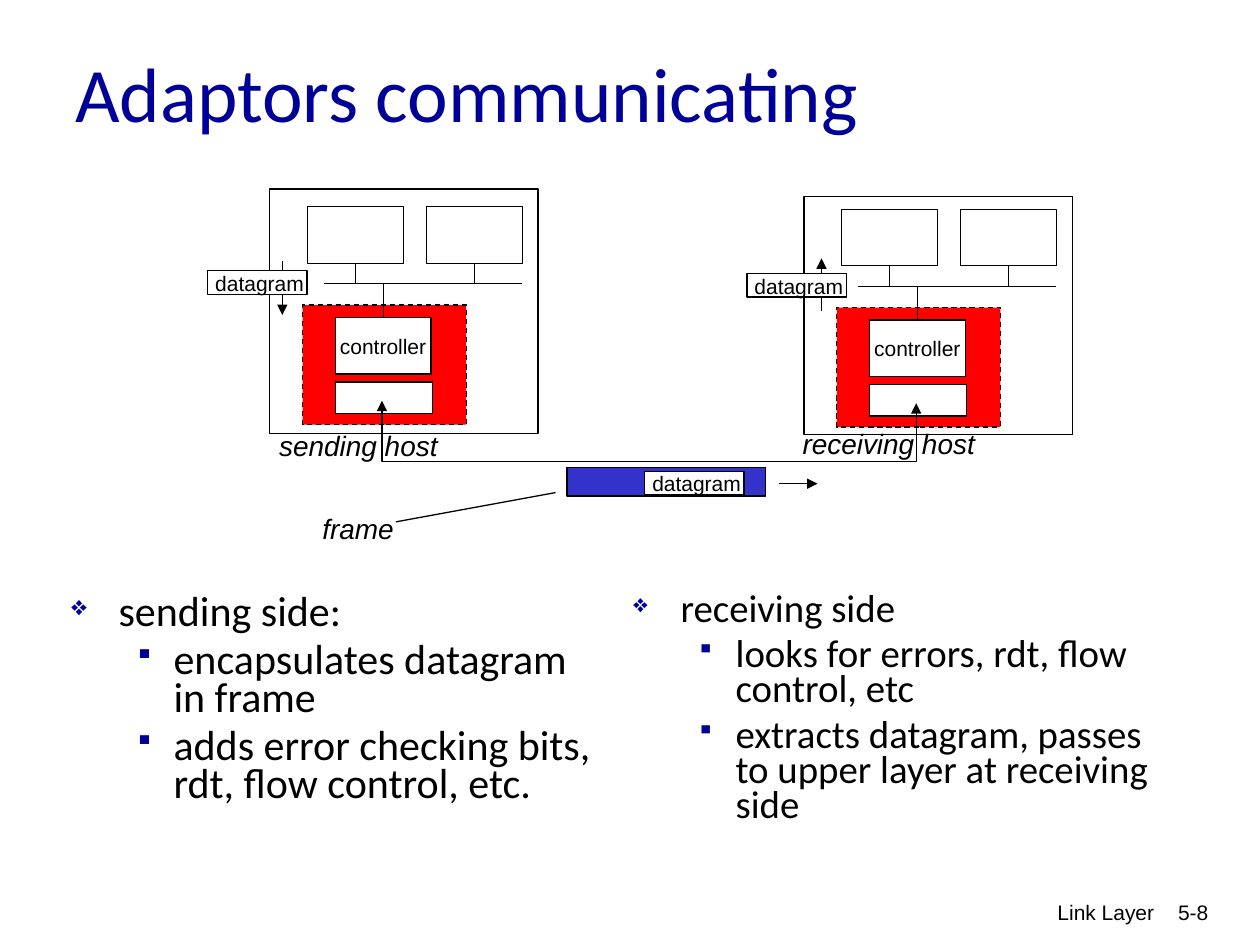
from lxml import etree
from pptx import Presentation
from pptx.dml.color import RGBColor
from pptx.enum.dml import MSO_LINE
from pptx.enum.shapes import MSO_CONNECTOR, MSO_SHAPE
from pptx.enum.text import MSO_ANCHOR, PP_ALIGN
from pptx.oxml.ns import qn
from pptx.util import Cm, Pt

BLACK = RGBColor(0x00, 0x00, 0x00)
WHITE = RGBColor(0xFF, 0xFF, 0xFF)
RED = RGBColor(0xFF, 0x00, 0x00)
FRAME_BLUE = RGBColor(0x33, 0x33, 0xCC)
NAVY = RGBColor(0x00, 0x00, 0x99)
RECTANGLE = MSO_SHAPE.RECTANGLE
STRAIGHT = MSO_CONNECTOR.STRAIGHT
DASH = MSO_LINE.DASH
MIDDLE = MSO_ANCHOR.MIDDLE
LEFT, CENTER, RIGHT = PP_ALIGN.LEFT, PP_ALIGN.CENTER, PP_ALIGN.RIGHT
TOP_SIDE, BOTTOM_SIDE = 0, 2
LINE_WIDTH = Pt(0.75)

deck = Presentation()
deck.slide_width, deck.slide_height = Cm(25.4), Cm(19.05)
page = deck.slides.add_slide(deck.slide_layouts[6])


def add_box(left, top, width, height, fill=None, text="", size=12, font="Arial",
            color=BLACK, align=LEFT, italic=None):
    area = Cm(left), Cm(top), Cm(width), Cm(height)
    if fill is None:
        box = page.shapes.add_textbox(*area)
        box.text_frame.word_wrap = True
    else:
        box = page.shapes.add_shape(RECTANGLE, *area)
        box.shadow.inherit = False
        box.fill.solid()
        box.fill.fore_color.rgb = fill
        box.line.color.rgb = BLACK
        box.line.width = LINE_WIDTH
        box.text_frame.word_wrap = False
    if text:
        para = box.text_frame.paragraphs[0]
        para.text = text
        para.alignment = align
        para.font.size = Pt(size)
        para.font.name = font
        para.font.italic = italic
        para.font.color.rgb = color
    return box


def add_line(x1, y1, x2, y2, arrow=False):
    line = page.shapes.add_connector(STRAIGHT, Cm(x1), Cm(y1), Cm(x2), Cm(y2))
    line.line.color.rgb = BLACK
    line.line.width = LINE_WIDTH
    if arrow:
        etree.SubElement(line.line._get_or_add_ln(), qn("a:tailEnd"), type="triangle")
    etree.SubElement(line._element.spPr, qn("a:effectLst"))
    return line


add_box(15.47, 18.01, 8.05, 1.27, text="Link Layer", align=RIGHT)
add_box(22.73, 18.01, 1.88, 1.27, text="5-8", align=RIGHT)
title = add_box(1.27, 0.25, 21.59, 3.18, text="Adaptors communicating", size=44,
                font="Calibri", color=NAVY)
title.text_frame.vertical_anchor = MIDDLE

columns = [
    (1.19, 11.89, 11.3, 5.38, 24,
     ["sending side:", "encapsulates datagram in frame",
      "adds error checking bits, rdt, flow control, etc."]),
    (12.52, 11.86, 11.35, 5.13, 22.2,
     ["receiving side", "looks for errors, rdt, flow control, etc",
      "extracts datagram, passes to upper layer at receiving side"]),
]
for left, top, width, height, size, points in columns:
    frame = add_box(left, top, width, height).text_frame
    for index, point in enumerate(points):
        para = frame.add_paragraph() if index else frame.paragraphs[0]
        para.text = point
        para.level = min(index, 1)
        para.line_spacing = 0.75
        para.space_before = Pt(6)
        para.font.size = Pt(size)
        para.font.name = "Calibri"
        para.font.color.rgb = BLACK
        margin, indent, bullet = (2.06, -0.79, "▪") if index else (0.95, -0.95, "❖")
        properties = para._p.get_or_add_pPr()
        properties.set("marL", str(Cm(margin)))
        properties.set("indent", str(Cm(indent)))
        bullet_color = etree.SubElement(properties, qn("a:buClr"))
        etree.SubElement(bullet_color, qn("a:srgbClr"), val=str(NAVY))
        etree.SubElement(properties, qn("a:buSzPct"), val="65000")
        etree.SubElement(properties, qn("a:buChar"), char=bullet)

add_box(11.43, 9.42, 4.01, 0.58, FRAME_BLUE)

hosts = [
    (0, 0, 3.81, 4.93, (5.69, 5.26, 5.69, 6.35)),
    (10.77, 0.05, 3.96, 4.8, (16.56, 6.27, 16.56, 5.21)),
]
for dx, dy, host_top, host_height, flow in hosts:
    add_box(5.44 + dx, host_top, 5.41, host_height, WHITE)
    add_line(*flow, arrow=True)
    adaptor = add_box(6.1 + dx, 6.15 + dy, 3.3, 2.41, RED)
    adaptor.line.dash_style = DASH
    add_box(6.76 + dx, 7.7 + dy, 1.96, 0.64, WHITE)
    controller = add_box(6.76 + dx, 6.4 + dy, 1.93, 1.14, WHITE, "controller", align=CENTER)
    controller.text_frame.vertical_anchor = MIDDLE
    bus = 5.72 + dy
    add_line(6.53 + dx, bus, 10.52 + dx, bus)
    modules = [add_box(left + dx, 4.17 + dy, 1.93, 1.14, WHITE) for left in (6.2, 8.6)]
    taps = [(controller, TOP_SIDE)] + [(module, BOTTOM_SIDE) for module in modules]
    for part, side in taps:
        center = (part.left + part.width / 2) / Cm(1)
        tap = add_line(center, bus, center, bus)
        tap.end_connect(part, side)

captions = [
    (5.38, 8.51, 4.1, "sending host"),
    (15.93, 8.48, 4.4, "receiving host"),
    (6.25, 10.19, 2.3, "frame"),
]
for left, top, width, caption in captions:
    add_box(left, top, width, 0.94, text=caption, size=16, italic=True)

for left, top in [(4.19, 5.46), (15.06, 5.51), (13, 9.5)]:
    add_box(left, top, 2, 0.48, WHITE)
    add_box(left - 0.1, top - 0.13, 2.6, 0.76, text="datagram")

builder = page.shapes.build_freeform(Cm(7.7), Cm(8.08))
builder.add_line_segments(
    [(Cm(7.7), Cm(9.3)), (Cm(18.47), Cm(9.3)), (Cm(18.47), Cm(8.13))], close=False)
link = builder.convert_to_shape()
link.shadow.inherit = False
link.fill.background()
link.line.color.rgb = BLACK
link.line.width = LINE_WIDTH
for end in ("a:headEnd", "a:tailEnd"):
    etree.SubElement(link.line._get_or_add_ln(), qn(end), type="triangle")

add_line(15.7, 9.75, 16.48, 9.75, arrow=True)
add_line(7.98, 10.52, 11.2, 9.93)

deck.save("out.pptx")
